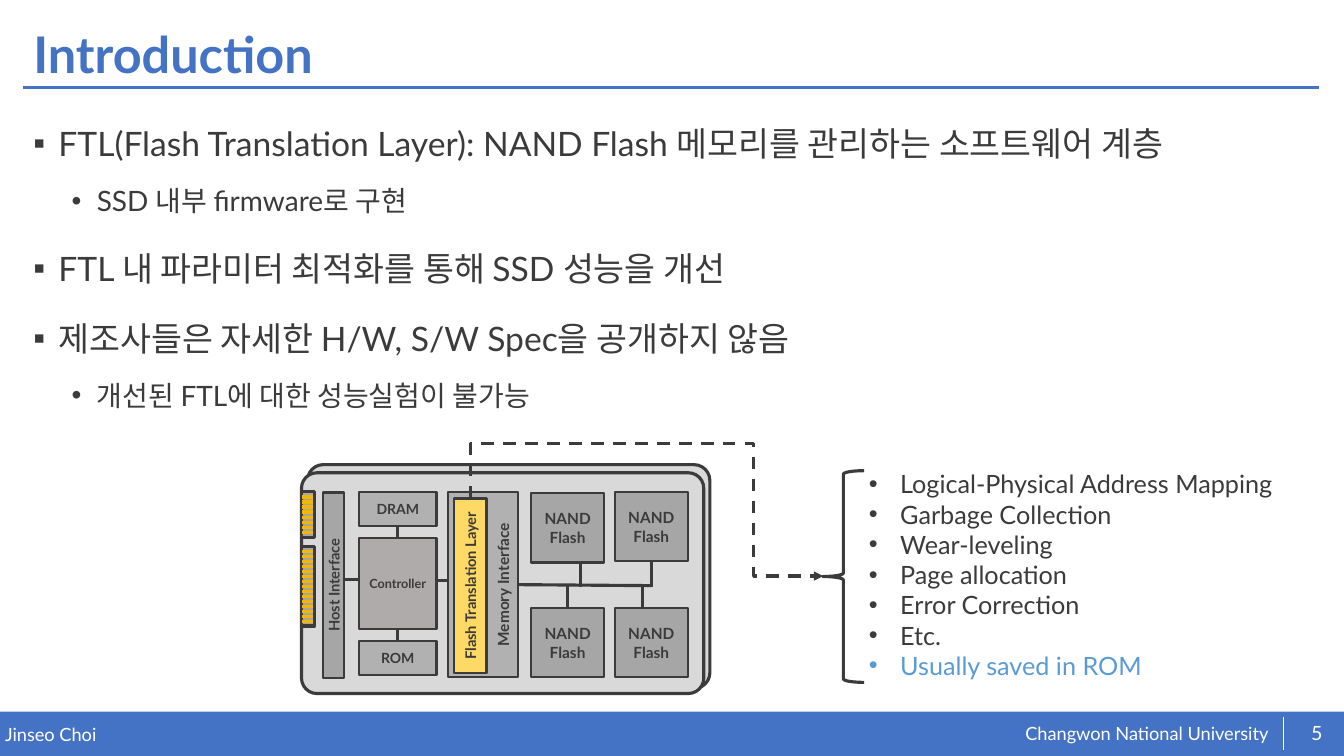
"""Build the introduction slide on the flash translation layer of an SSD."""
from lxml import etree
from pptx import Presentation
from pptx.dml.color import RGBColor
from pptx.enum.dml import MSO_LINE
from pptx.enum.shapes import MSO_CONNECTOR, MSO_SHAPE
from pptx.enum.text import MSO_ANCHOR, MSO_AUTO_SIZE, PP_ALIGN
from pptx.oxml.ns import qn
from pptx.util import Inches, Pt

RECT, ROUND, BRACE = MSO_SHAPE.RECTANGLE, MSO_SHAPE.ROUNDED_RECTANGLE, MSO_SHAPE.LEFT_BRACE
STRAIGHT, ELBOW = MSO_CONNECTOR.STRAIGHT, MSO_CONNECTOR.ELBOW
LEFT, CENTER = PP_ALIGN.LEFT, PP_ALIGN.CENTER
TOP, MIDDLE, BOTTOM = MSO_ANCHOR.TOP, MSO_ANCHOR.MIDDLE, MSO_ANCHOR.BOTTOM
FONT, BLUE, DARK, WHITE = "Lato", "4472C4", "3B3B3B", "FFFFFF"
GREY, SILVER, GOLD = "A6A6A6", "B1B1B1", "F2B800"

TITLE = "Introduction"
POINTS = [
    (0, "FTL(Flash Translation Layer): NAND Flash 메모리를 관리하는 소프트웨어 계층"),
    (1, "SSD 내부 firmware로 구현"),
    (0, "FTL 내 파라미터 최적화를 통해 SSD 성능을 개선"),
    (0, "제조사들은 자세한 H/W, S/W Spec을 공개하지 않음"),
    (1, "개선된 FTL에 대한 성능실험이 불가능"),
]
LEVELS = [("▪", 0.25, 24, 10), ("•", 0.63, 20, 5)]
DUTIES = [
    ("Logical-Physical Address Mapping", DARK),
    ("Garbage Collection", DARK),
    ("Wear-leveling", DARK),
    ("Page allocation", DARK),
    ("Error Correction", DARK),
    ("Etc.", DARK),
    ("Usually saved in ROM", "5B9BD5"),
]
FOOTER = [
    ("Changwon National University", (10.17, 7.16, 2.5, 0.23), 13, LEFT),
    ("Jinseo Choi", (0.05, 7.17, 6.55, 0.22), 13, LEFT),
    ("5", (12.82, 7.07, 0.48, 0.4), 14, CENTER),
]
CARDS = [(3.05, 4.61, 3.99, 2.22), (2.99, 4.69, 3.99, 2.19)]
PINS = [(4.88, 0.45, 4.93, 8), (5.42, 0.79, 5.47, 15)]
PIN_STEP = 0.05
NAND = [("nand1", 5.27, 4.89), ("nand2", 6.1, 4.88), ("nand3", 5.27, 6.03), ("nand4", 6.1, 6.03)]
BLOCKS = [(key, "NAND Flash", (x, y, 0.72, 0.69), GREY, 11, 0) for key, x, y in NAND] + [
    ("dram", "DRAM", (3.56, 4.88, 0.77, 0.34), SILVER, 10, 0),
    ("controller", "Controller", (3.56, 5.34, 0.77, 0.9), "AFABAB", 9, 0),
    ("rom", "ROM", (3.56, 6.36, 0.77, 0.34), SILVER, 10, 0),
    ("memory", "Memory Interface", (3.87, 5.45, 1.84, 0.7), SILVER, 11, 270),
    ("host", "Host Interface", (2.39, 5.7, 1.84, 0.21), GREY, 10.5, 270),
    ("ftl", "Flash Translation Layer", (3.8, 5.65, 1.73, 0.32), "FFD966", 10.5, 270),
]
WIRES = [
    ((6.46, 5.81), (5.14, 5.8), None, None),
    ((5.76, 5.82), (5.76, 5.58), None, None),
    ((6.46, 5.82), (6.46, 5.57), None, ("nand2", 2)),
    ((5.63, 6.03), (5.63, 5.81), ("nand3", 0), None),
    ((6.37, 6.03), (6.37, 5.8), None, None),
    ((4.33, 5.76), (4.44, 5.76), None, None),
    ((3.42, 5.75), (3.56, 5.75), None, None),
    ((3.94, 5.22), (3.94, 5.34), ("dram", 2), ("controller", 0)),
    ((3.94, 6.24), (3.94, 6.36), ("controller", 2), ("rom", 0)),
]


def rgb(value):
    return RGBColor.from_string(value)


def place(sp, box):
    sp.left, sp.top, sp.width, sp.height = map(Inches, box)


def frame(sp, anchor, inset=None):
    tf = sp.text_frame
    tf.word_wrap, tf.auto_size, tf.vertical_anchor = True, MSO_AUTO_SIZE.NONE, anchor
    if inset is not None:
        tf.margin_left = tf.margin_right = tf.margin_top = tf.margin_bottom = Inches(inset)
    return tf


def write(p, text, size, color, bold=False, align=LEFT):
    p.text, p.alignment = text, align
    for r in p.runs:
        r.font.name, r.font.size, r.font.bold = FONT, Pt(size), bold
        r.font.color.rgb = rgb(color)


def bullet(p, mark, margin, hang):
    pPr = p._p.get_or_add_pPr()
    pPr.set("marL", str(Inches(margin)))
    pPr.set("indent", str(-Inches(hang)))
    etree.SubElement(pPr, qn("a:buFont")).set("typeface", "Arial")
    etree.SubElement(pPr, qn("a:buChar")).set("char", mark)


def add_paragraph(tf, index):
    return tf.add_paragraph() if index else tf.paragraphs[0]


def add_box(s, kind, box, fill, line=None, width=1.5):
    sp = s.shapes.add_shape(kind, *map(Inches, box))
    sp.shadow.inherit = False
    if fill:
        sp.fill.solid()
        sp.fill.fore_color.rgb = rgb(fill)
    else:
        sp.fill.background()
    if line:
        sp.line.color.rgb, sp.line.width = rgb(line), Pt(width)
    else:
        sp.line.fill.background()
    return sp


def add_line(s, start, end, color=DARK, width=2.25, kind=STRAIGHT):
    c = s.shapes.add_connector(kind, *map(Inches, start + end))
    c.line.color.rgb, c.line.width = rgb(color), Pt(width)
    etree.SubElement(c._element.spPr, qn("a:effectLst"))
    return c


def add_ftl_arrow(s):
    c = add_line(s, (6.03, 3.58), (6.8, 7.08), kind=ELBOW)
    c.line.dash_style = MSO_LINE.DASH
    etree.SubElement(c.line._get_or_add_ln(), qn("a:tailEnd")).set("type", "triangle")
    spPr = c._element.spPr
    xfrm, geom = spPr.find(qn("a:xfrm")), spPr.find(qn("a:prstGeom"))
    xfrm.set("rot", "16200000")
    xfrm.set("flipH", "1")
    geom.set("prst", "bentConnector4")
    guides = geom.find(qn("a:avLst"))
    for name, value in (("adj1", -70500), ("adj2", 80300)):
        gd = etree.SubElement(guides, qn("a:gd"))
        gd.set("name", name)
        gd.set("fmla", f"val {value}")


def add_text(s):
    title, body = s.shapes.title, s.placeholders[1]
    place(title, (0.23, 0.18, 12.86, 0.77))
    p = frame(title, MIDDLE).paragraphs[0]
    write(p, TITLE, 36, BLUE, True)
    p.line_spacing = 0.9
    place(body, (0.23, 1.01, 12.86, 5.63))
    tf = frame(body, TOP)
    for i, (level, text) in enumerate(POINTS):
        mark, margin, size, before = LEVELS[level]
        p = add_paragraph(tf, i)
        bullet(p, mark, margin, 0.25)
        write(p, text, size, DARK)
        p.level, p.line_spacing = level, 1.4
        p.space_before = Pt(before if i else 0)


def add_footer(s):
    add_box(s, RECT, (0, 7.06, 13.33, 0.44), BLUE)
    for text, box, size, align in FOOTER:
        tf = frame(s.shapes.add_textbox(*map(Inches, box)), MIDDLE, 0)
        write(tf.paragraphs[0], text, size, WHITE, align=align)
    add_line(s, (0.23, 0.87), (13.08, 0.87), BLUE, 2)
    add_line(s, (12.73, 7.11), (12.73, 7.44), WHITE, 0.5)


def add_ssd(s):
    for box in CARDS:
        add_box(s, ROUND, box, "D9D9D9", DARK, 2.25).adjustments[0] = 0.07
    for top, height, first, count in PINS:
        add_box(s, RECT, (2.99, top, 0.13, height), GREY, DARK, 2.25)
        for i in range(count):
            y = first + i * PIN_STEP
            add_line(s, (3, y), (3.1, y), GOLD)
    blocks = {}
    for key, text, box, fill, size, turn in BLOCKS:
        sp = blocks[key] = add_box(s, RECT, box, fill, DARK)
        sp.rotation = turn
        tf = frame(sp, BOTTOM if key == "memory" else MIDDLE, 0)
        write(tf.paragraphs[0], text, size, DARK, True, CENTER)
    blocks["memory"].text_frame.margin_bottom = Inches(0.06)
    for start, end, begin_join, end_join in WIRES:
        c = add_line(s, start, end)
        if begin_join:
            c.begin_connect(blocks[begin_join[0]], begin_join[1])
        if end_join:
            c.end_connect(blocks[end_join[0]], end_join[1])


def add_duties(s):
    add_ftl_arrow(s)
    add_box(s, BRACE, (8.16, 4.67, 0.41, 2.1), None, DARK, 2.25)
    tf = frame(s.shapes.add_textbox(*map(Inches, (8.52, 4.6, 4.51, 2.22))), TOP)
    for i, (text, color) in enumerate(DUTIES):
        p = add_paragraph(tf, i)
        bullet(p, "•", 0.31, 0.31)
        write(p, text, 18, color)


def main():
    prs = Presentation()
    prs.slide_width, prs.slide_height = Inches(13.33), Inches(7.5)
    s = prs.slides.add_slide(prs.slide_layouts[1])
    add_text(s)
    add_footer(s)
    add_ssd(s)
    add_duties(s)
    prs.save("out.pptx")


if __name__ == "__main__":
    main()
